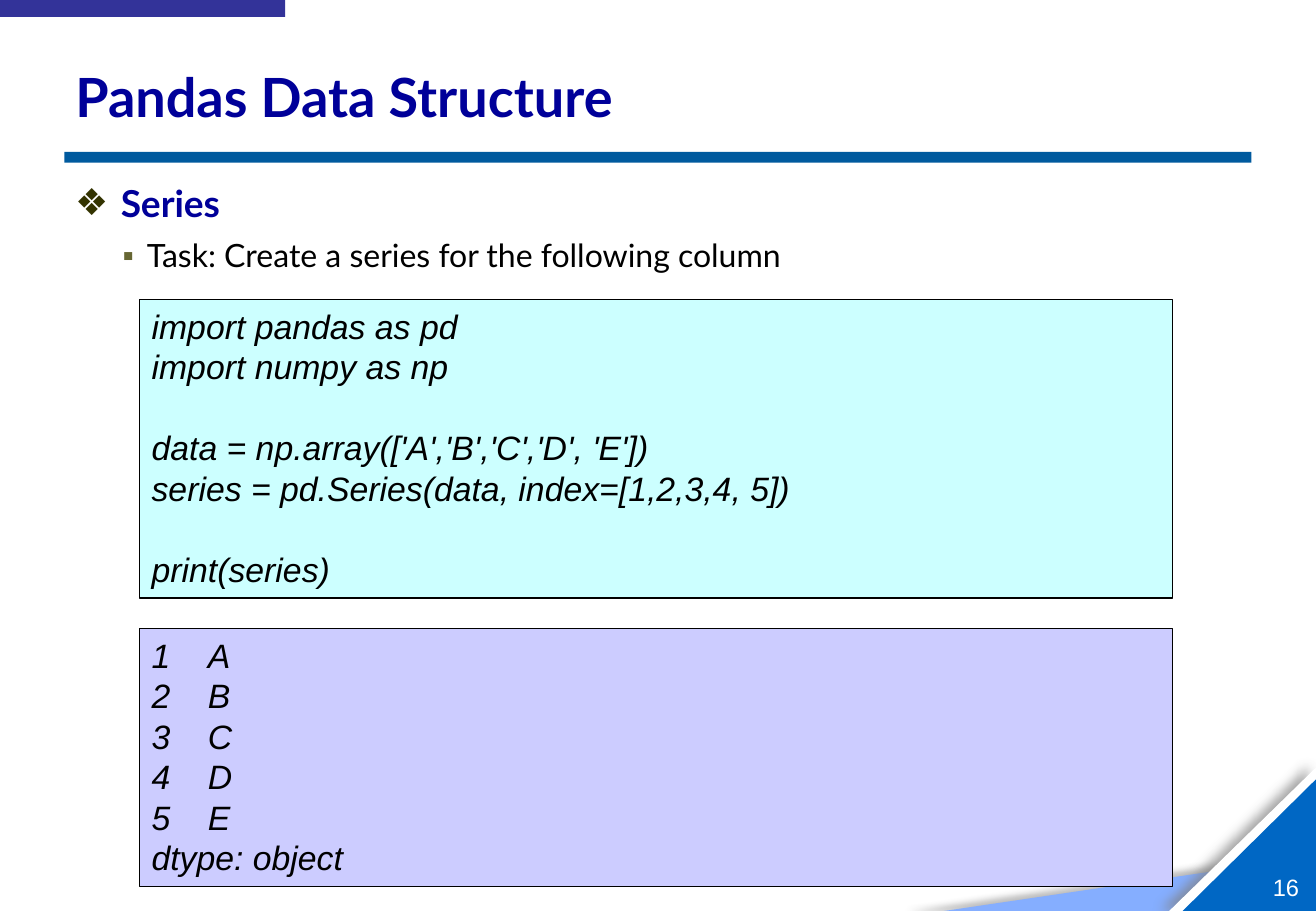
import pptx
import pptx.dml.color
import pptx.enum.shapes
import pptx.enum.text
import pptx.oxml
import pptx.oxml.ns
import pptx.util

Pt = pptx.util.Pt
SHAPE = pptx.enum.shapes.MSO_SHAPE
ALIGN = pptx.enum.text.PP_ALIGN
ANCHOR = pptx.enum.text.MSO_ANCHOR

# Content
TITLE = "Pandas Data Structure"
TOPIC = "Series"
TASK = "Task: Create a series for the following column"
CODE = [
    "import pandas as pd",
    "import numpy as np",
    "",
    "data = np.array(['A','B','C','D', 'E'])",
    "series = pd.Series(data, index=[1,2,3,4, 5])",
    "",
    "print(series)",
]
OUTPUT = ["1\tA", "2\tB", "3\tC", "4\tD", "5\tE", "dtype: object"]
PAGE = "16"


class Theme:
    heading_font, code_font = "Lato", "Arial"
    navy, black, white = "000099", "000000", "FFFFFF"
    topic_bullet, task_bullet = "333300", "666633"
    rule, tab = "005A9E", "333399"
    code_fill, output_fill = "CCFFFF", "CCCCFF"
    corner_pale, corner_deep = "85AEFF", "0067C4"
    title_size, topic_size, task_size, code_size, page_size = 32, 22, 19, 20, 14


# Layout, in points
WIDTH, HEIGHT = 780, 540
LEFT, CONTENT_WIDTH = 37.5, 703.5
PANEL_LEFT, PANEL_WIDTH = 82.8, 612
CODE_LINE = 24
OUTPUT_TAB = 33.4
# width, height, colour, shadow (colour, opacity %, blur, distance, angle)
CORNER = [
    (220.5, 32.5, Theme.corner_pale, ("595959", 40, 4, 22, 180)),
    (87, 85, Theme.white, ("808080", 69, 7, 5, 190)),
    (79, 78, Theme.corner_deep, None),
]


def rgb(colour):
    return pptx.dml.color.RGBColor.from_string(colour)


def xml(markup):
    return pptx.oxml.parse_xml(markup.replace(">", f" {pptx.oxml.ns.nsdecls('a')}>", 1))


def add_run(paragraph, text, font, size, colour, bold=False, italic=False):
    run = paragraph.add_run()
    run.text = text
    run.font.name, run.font.size = font, Pt(size)
    run.font.bold, run.font.italic = bold, italic
    run.font.color.rgb = rgb(colour)


def add_block(slide, kind, left, top, width, height, fill, line=None):
    block = slide.shapes.add_shape(kind, Pt(left), Pt(top), Pt(width), Pt(height))
    block.shadow.inherit = False
    block.fill.solid()
    block.fill.fore_color.rgb = rgb(fill)
    if line:
        block.line.color.rgb = rgb(line)
        block.line.width = Pt(0.75)
    else:
        block.line.fill.background()
    return block


def add_corner_piece(slide, width, height, fill, shadow):
    piece = add_block(slide, SHAPE.RIGHT_TRIANGLE, WIDTH - width, HEIGHT - height,
                      width, height, fill)
    properties = piece.element.spPr
    properties.xfrm.set("flipH", "1")
    if shadow:
        colour, opacity, blur, distance, angle = shadow
        properties.find(pptx.oxml.ns.qn("a:effectLst")).append(xml(
            f'<a:outerShdw blurRad="{Pt(blur)}" dist="{Pt(distance)}" '
            f'dir="{angle * 60000}" rotWithShape="0">'
            f'<a:srgbClr val="{colour}"><a:alpha val="{opacity * 1000}"/>'
            '</a:srgbClr></a:outerShdw>'))


def set_bullet(paragraph, symbol, colour, text_left, hanging):
    properties = paragraph._p.get_or_add_pPr()
    properties.set("marL", str(Pt(text_left)))
    properties.set("indent", str(-Pt(hanging)))
    properties.append(xml(f'<a:buClr><a:srgbClr val="{colour}"/></a:buClr>'))
    properties.append(xml(f'<a:buFont typeface="{Theme.code_font}"></a:buFont>'))
    properties.append(xml(f'<a:buChar char="{symbol}"></a:buChar>'))


def add_panel(slide, lines, top, height, fill):
    panel = add_block(slide, SHAPE.RECTANGLE, PANEL_LEFT, top, PANEL_WIDTH, height,
                      fill, Theme.black)
    frame = panel.text_frame
    frame.word_wrap = True
    frame.vertical_anchor = ANCHOR.TOP
    paragraph, gap = frame.paragraphs[0], 0
    for number, line in enumerate(lines):
        if not line:
            gap += CODE_LINE
            continue
        if number:
            paragraph = frame.add_paragraph()
        paragraph.alignment = ALIGN.LEFT
        paragraph.line_spacing = Pt(CODE_LINE)
        if gap:
            paragraph.space_before = Pt(gap)
            gap = 0
        if "\t" in line:
            paragraph._p.get_or_add_pPr().append(xml(
                f'<a:tabLst><a:tab pos="{Pt(OUTPUT_TAB)}" algn="l"/></a:tabLst>'))
        add_run(paragraph, line, Theme.code_font, Theme.code_size, Theme.black, italic=True)


def add_text_box(slide, left, top, width, height):
    box = slide.shapes.add_textbox(Pt(left), Pt(top), Pt(width), Pt(height))
    box.text_frame.word_wrap = True
    return box.text_frame


def main():
    deck = pptx.Presentation()
    deck.slide_width, deck.slide_height = Pt(WIDTH), Pt(HEIGHT)
    slide = deck.slides.add_slide(deck.slide_layouts[5])

    # Corner, title rule and top tab
    for piece in CORNER:
        add_corner_piece(slide, *piece)
    add_block(slide, SHAPE.RECTANGLE, 38.2, 90, CONTENT_WIDTH, 6.4, Theme.rule)
    add_block(slide, SHAPE.RECTANGLE, 0, 0, 169, 10, Theme.tab)

    # Page number
    page = add_text_box(slide, 742, 517, 28, 17.3)
    page.margin_left = page.margin_right = page.margin_top = page.margin_bottom = 0
    page.vertical_anchor = ANCHOR.MIDDLE
    page.paragraphs[0].alignment = ALIGN.CENTER
    page.paragraphs[0].alignment = ALIGN.RIGHT
    add_run(page.paragraphs[0], PAGE, Theme.code_font, Theme.page_size, Theme.white)

    # Title
    title = slide.shapes.title
    title.left, title.top = Pt(LEFT), Pt(29)
    title.width, title.height = Pt(CONTENT_WIDTH), Pt(56)
    title.text_frame.vertical_anchor = ANCHOR.MIDDLE
    heading = title.text_frame.paragraphs[0]
    heading.alignment = ALIGN.LEFT
    add_run(heading, TITLE, Theme.heading_font, Theme.title_size, Theme.navy, bold=True)

    # Topic and task
    body = add_text_box(slide, LEFT, 103.7, CONTENT_WIDTH, 66)
    topic = body.paragraphs[0]
    set_bullet(topic, "❖", Theme.topic_bullet, 27, 27)
    add_run(topic, TOPIC, Theme.heading_font, Theme.topic_size, Theme.navy, bold=True)
    task = body.add_paragraph()
    set_bullet(task, "▪", Theme.task_bullet, 42.5, 14.4)
    task.line_spacing, task.space_before = 1.1, Pt(4)
    add_run(task, TASK, Theme.heading_font, Theme.task_size, Theme.black)

    # Code and its output
    add_panel(slide, CODE, 177.5, 177, Theme.code_fill)
    add_panel(slide, OUTPUT, 372.6, 152.8, Theme.output_fill)

    deck.save("out.pptx")


if __name__ == "__main__":
    main()
